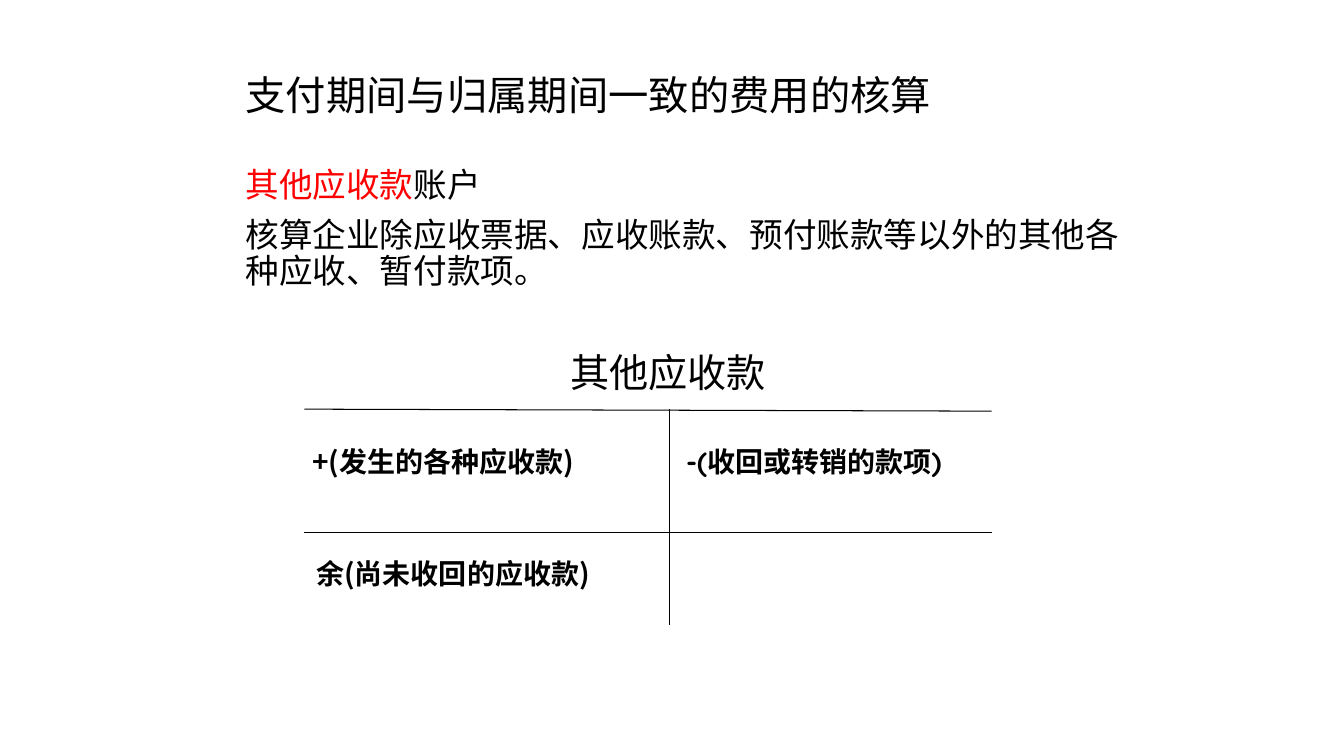
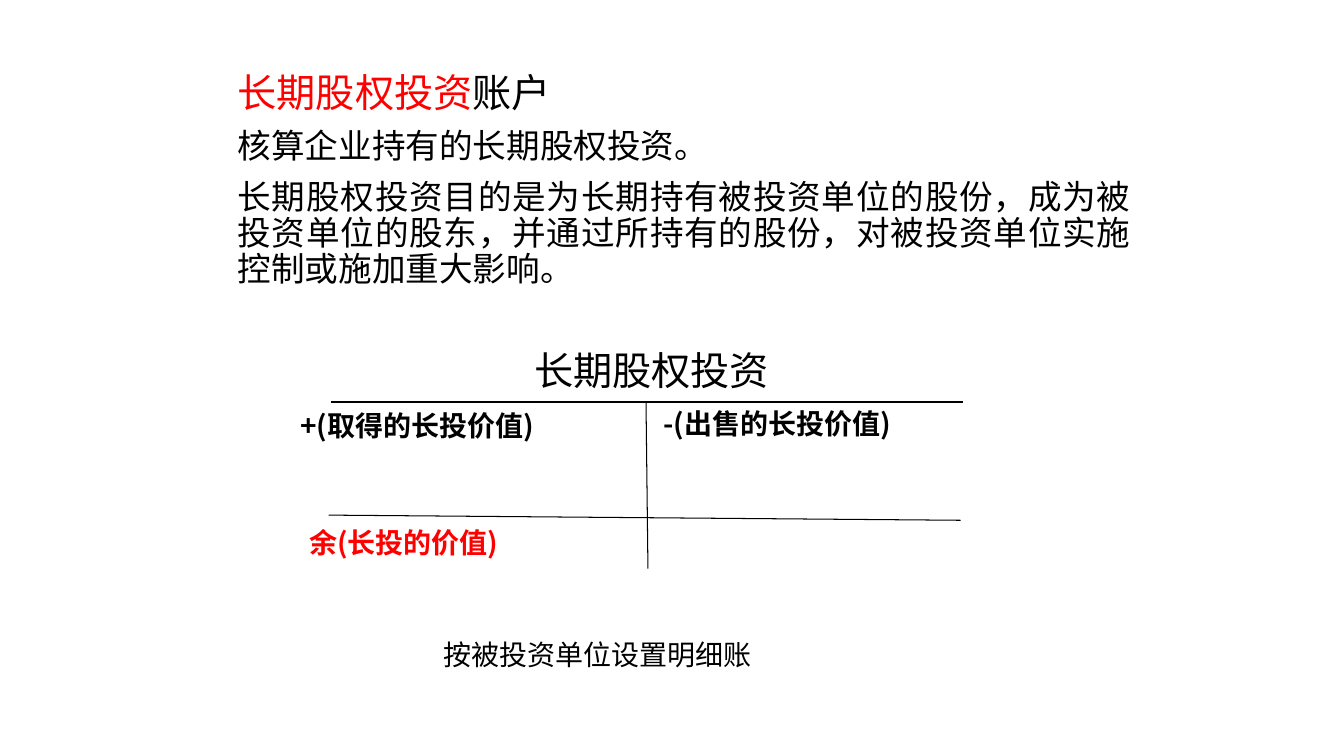
"""Build two accounting slides, each explaining a T-account."""
from dataclasses import dataclass

from pptx import Presentation
from pptx import util as u
from pptx.dml.color import RGBColor
from pptx.enum import shapes, text
from pptx.oxml.ns import qn
from pptx.slide import Slide


@dataclass(frozen=True)
class Theme:
    font: str = "Noto Sans CJK SC"
    accent_font: str = "Quicksand"
    ink: str = "000000"
    red: str = "FF0000"
    title: float = 28.8
    heading: float = 28
    body: float = 24
    entry: float = 20
    line: float = 0.75
    spacing: float = 0.9
    gap: float = 10


THEME = Theme()


@dataclass(frozen=True)
class Span:
    text: str
    color: str = THEME.ink


@dataclass(frozen=True)
class Para:
    spans: tuple[Span, ...]
    size: float = THEME.body
    justify: bool = False


@dataclass(frozen=True)
class Box:
    left: float
    top: float
    width: float
    height: float


@dataclass(frozen=True)
class Label:
    text: str
    box: Box
    size: float = THEME.entry
    bold: bool = True
    color: str = THEME.ink
    font: str = THEME.font


@dataclass(frozen=True)
class Rule:
    x1: float
    y1: float
    x2: float
    y2: float


def add_frame(s: Slide, box: Box) -> text.MSO_ANCHOR:
    sp = s.shapes.add_textbox(u.Cm(box.left), u.Cm(box.top), u.Cm(box.width), u.Cm(box.height))
    tf = sp.text_frame
    tf.word_wrap = True
    return tf


def style_run(r, size: float, color: str, bold: bool = False, font: str = THEME.font) -> None:
    r.font.size = u.Pt(size)
    r.font.bold = bold
    r.font.name = font
    r.font.color.rgb = RGBColor.from_string(color)
    ea = r.font._element.makeelement(qn("a:ea"), {"typeface": THEME.font})
    r.font._element.find(qn("a:latin")).addnext(ea)


def add_title(s: Slide, title: str, box: Box) -> None:
    tf = add_frame(s, box)
    tf.vertical_anchor = text.MSO_ANCHOR.MIDDLE
    tf.text = title
    p = tf.paragraphs[0]
    p.line_spacing = THEME.spacing
    style_run(p.runs[0], THEME.title, THEME.ink)


def add_body(s: Slide, paras: tuple[Para, ...], box: Box) -> None:
    tf = add_frame(s, box)
    for i, para in enumerate(paras):
        p = tf.add_paragraph() if i else tf.paragraphs[0]
        p.line_spacing = THEME.spacing
        p.space_before = u.Pt(THEME.gap)
        if para.justify:
            p.alignment = text.PP_ALIGN.JUSTIFY
        for span in para.spans:
            r = p.add_run()
            r.text = span.text
            style_run(r, para.size, span.color)


def add_label(s: Slide, label: Label) -> None:
    tf = add_frame(s, label.box)
    tf.auto_size = text.MSO_AUTO_SIZE.SHAPE_TO_FIT_TEXT
    tf.text = label.text
    style_run(tf.paragraphs[0].runs[0], label.size, label.color, label.bold, label.font)


def add_rule(s: Slide, rule: Rule) -> None:
    c = s.shapes.add_connector(
        shapes.MSO_CONNECTOR.STRAIGHT,
        u.Cm(rule.x1), u.Cm(rule.y1), u.Cm(rule.x2), u.Cm(rule.y2),
    )
    c.line.width = u.Pt(THEME.line)
    c.line.color.rgb = RGBColor.from_string(THEME.ink)
    sp_pr = c._element.spPr
    sp_pr.append(sp_pr.makeelement(qn("a:effectLst"), {}))


def add_account(s: Slide, rules: tuple[Rule, ...], labels: tuple[Label, ...]) -> None:
    for rule in rules:
        add_rule(s, rule)
    for label in labels:
        add_label(s, label)


def build_receivables(s: Slide) -> None:
    add_title(s, "支付期间与归属期间一致的费用的核算", Box(5.94, 1.32, 19.05, 2.29))
    add_body(s, (
        Para((Span("其他应收款", THEME.red), Span("账户"))),
        Para((Span("核算企业除应收票据、应收账款、预付账款等以外的其他各种应收、暂付款项。"),)),
    ), Box(5.94, 4.11, 23.01, 9.8))
    add_account(s, (
        Rule(7.67, 10.31, 24.99, 10.36),
        Rule(16.87, 10.31, 16.87, 15.75),
        Rule(7.67, 13.41, 24.99, 13.41),
    ), (
        Label("其他应收款", Box(14.12, 8.66, 6.6, 1.45), THEME.heading, False),
        Label("+(发生的各种应收款)", Box(7.62, 11.07, 9.35, 1.12)),
        Label("-(收回或转销的款项)", Box(17.04, 11.07, 11.23, 1.12), font=THEME.accent_font),
        Label("余(尚未收回的应收款)", Box(7.72, 13.89, 9.35, 1.12)),
    ))


def build_investment(s: Slide) -> None:
    add_body(s, (
        Para((Span("长期股权投资", THEME.red), Span("账户")), THEME.heading),
        Para((Span("核算企业持有的长期股权投资。"),), justify=True),
        Para((Span("长期股权投资目的是为长期持有被投资单位的股份，成为被投资单位的股东，"
                   "并通过所持有的股份，对被投资单位实施控制或施加重大影响。"),), justify=True),
    ), Box(5.74, 1.73, 23.01, 6.6))
    add_account(s, (
        Rule(8.33, 10.13, 24.26, 10.13),
        Rule(16.28, 10.13, 16.33, 14.33),
        Rule(8.28, 12.98, 24.21, 13.11),
    ), (
        Label("长期股权投资", Box(13.21, 8.61, 8, 1.45), THEME.heading, False),
        Label("+(取得的长投价值)", Box(7.32, 10.16, 9.04, 1.12)),
        Label("-(出售的长投价值)", Box(16.46, 10.13, 11.28, 1.12)),
        Label("余(长投的价值)", Box(7.54, 13.11, 8.71, 1.12), color=THEME.red),
        Label("按被投资单位设置明细账", Box(10.92, 15.95, 12.8, 1.12), bold=False),
    ))


def main() -> None:
    prs = Presentation()
    prs.slide_width, prs.slide_height = u.Cm(33.87), u.Cm(19.05)
    for build in (build_receivables, build_investment):
        build(prs.slides.add_slide(prs.slide_layouts[6]))
    prs.save("out.pptx")


if __name__ == "__main__":
    main()
